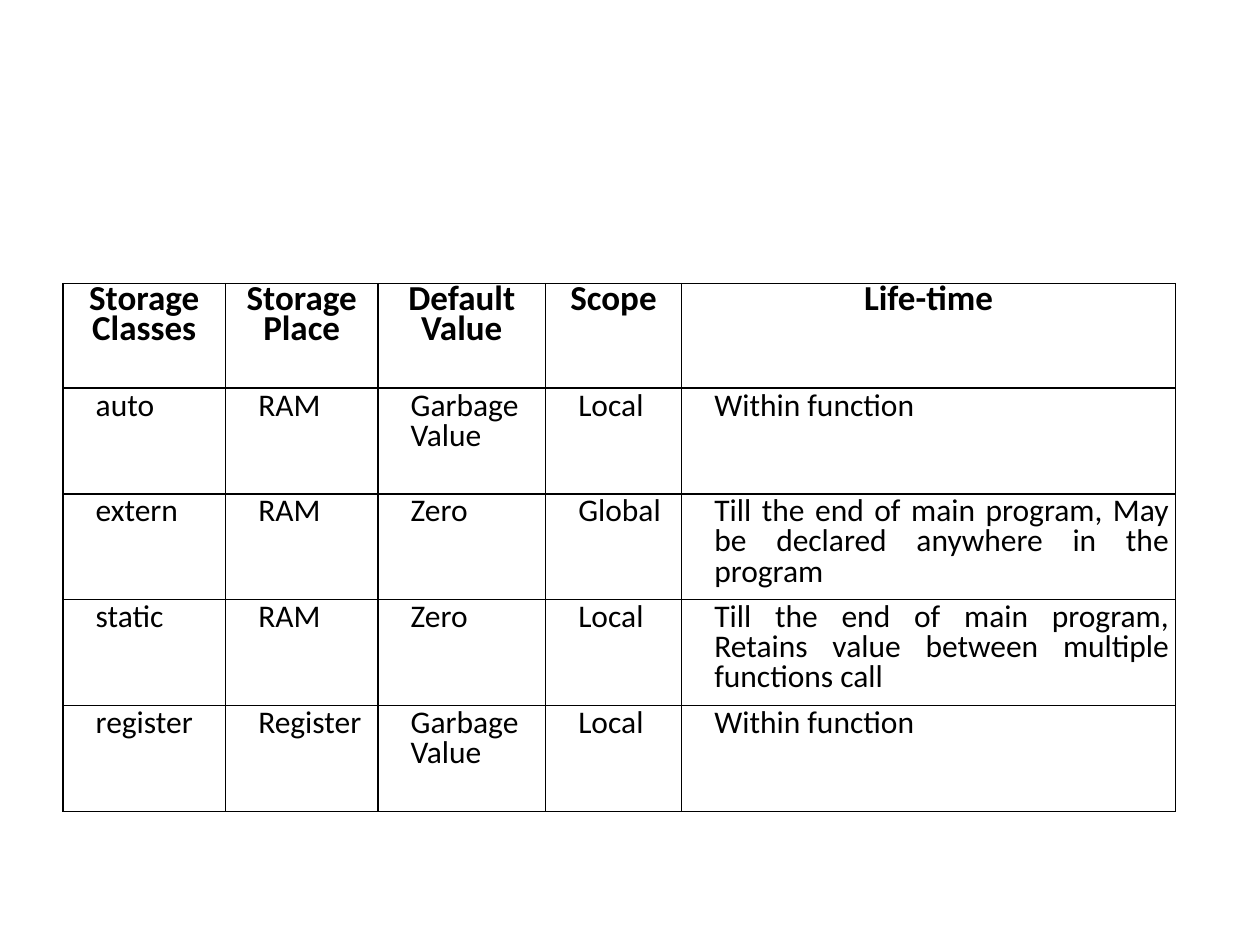
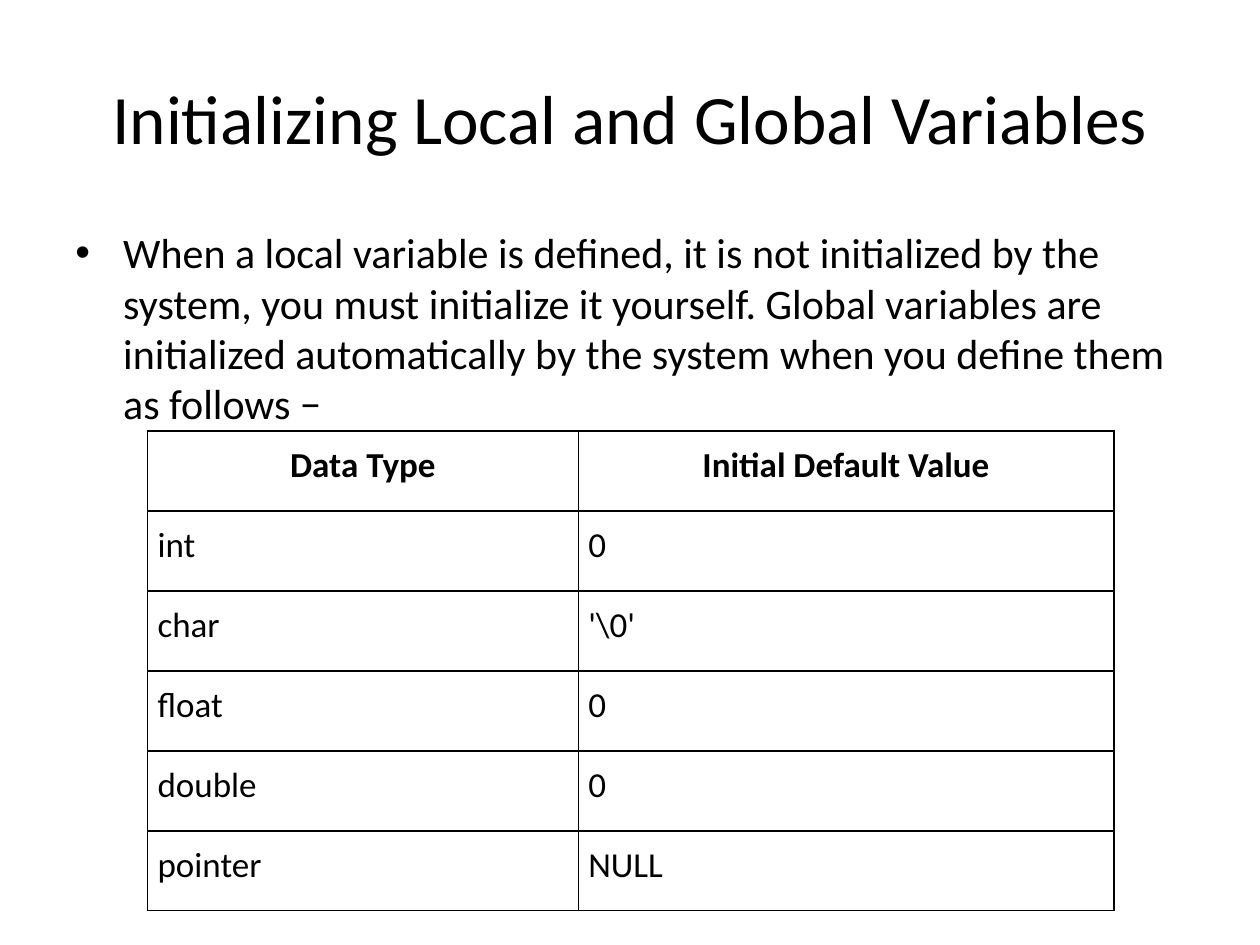
from lxml.etree import SubElement
from pptx import Presentation
from pptx.dml.color import RGBColor
from pptx.enum.text import MSO_ANCHOR, PP_ALIGN
from pptx.oxml.ns import qn
from pptx.util import Inches, Pt

COLORS = {"ink": "000000", "paper": "FFFFFF"}
FONT = "Calibri"


def style_font(paragraph, size, bold=False):
    paragraph.font.name = FONT
    paragraph.font.size = Pt(size)
    paragraph.font.bold = bold
    paragraph.font.color.rgb = RGBColor.from_string(COLORS["ink"])


def add_grid(slide, left, top, widths, heights, rows, inset):
    """Add a plain table with thin borders; return its paragraphs row by row."""
    table = slide.shapes.add_table(
        len(rows), len(widths), Inches(left), Inches(top),
        Inches(sum(widths)), Inches(sum(heights))).table
    table.first_row = table.horz_banding = False
    for column, width in zip(table.columns, widths):
        column.width = Inches(width)
    paragraphs = []
    for row, height, texts in zip(table.rows, heights, rows):
        row.height = Inches(height)
        for cell, text in zip(row.cells, texts):
            cell.text = text
            cell.margin_left = cell.margin_right = Inches(inset)
            cell.margin_top = cell.margin_bottom = Inches(inset)
            for side in ("lnL", "lnR", "lnT", "lnB"):
                border = SubElement(cell._tc.get_or_add_tcPr(), qn(f"a:{side}"), w=str(Pt(1)))
                border_fill = SubElement(border, qn("a:solidFill"))
                SubElement(border_fill, qn("a:srgbClr"), val=COLORS["ink"])
            cell.fill.background()
        paragraphs.append([cell.text_frame.paragraphs[0] for cell in row.cells])
    return paragraphs


prs = Presentation()
prs.slide_width, prs.slide_height = Inches(10), Inches(7.5)
background = prs.slide_master.background.fill
background.solid()
background.fore_color.rgb = RGBColor.from_string(COLORS["paper"])
title_only, blank = prs.slide_layouts[5], prs.slide_layouts[6]

# Slide 1: storage classes
storage_slide = prs.slides.add_slide(blank)
storage_classes = [
    ("Storage Classes", "Storage Place", "Default Value", "Scope", "Life-time"),
    ("auto", "RAM", "Garbage Value", "Local", "Within function"),
    ("extern", "RAM", "Zero", "Global",
     "Till the end of main program, May be declared anywhere in the program"),
    ("static", "RAM", "Zero", "Local",
     "Till the end of main program, Retains value between multiple functions call"),
    ("register", "Register", "Garbage Value", "Local", "Within function"),
]
storage_rows = add_grid(storage_slide, 0.5, 2.25, [1.29, 1.21, 1.33, 1.08, 3.92],
                        [0.83] + [0.84] * 4, storage_classes, 0.05)
for index, row in enumerate(storage_rows):
    is_header = index == 0
    for paragraph in row:
        paragraph.alignment = PP_ALIGN.CENTER if is_header else PP_ALIGN.JUSTIFY
        paragraph.line_spacing = Pt(17.2)
        if not is_header:
            paragraph._p.get_or_add_pPr().set("marL", str(Inches(0.21)))
        style_font(paragraph, 20 if is_header else 18, is_header)

# Slide 2: title
defaults_slide = prs.slides.add_slide(title_only)
title = defaults_slide.shapes.title
title.left, title.top, title.width, title.height = map(Inches, (0.5, 0.3, 9, 1.25))
title.text_frame.text = "Initializing Local and Global Variables"
title.text_frame.vertical_anchor = MSO_ANCHOR.MIDDLE
title.text_frame.paragraphs[0].alignment = PP_ALIGN.CENTER
style_font(title.text_frame.paragraphs[0], 39.6)

# Slide 2: bulleted explanation
explanation = defaults_slide.shapes.add_textbox(
    Inches(0.5), Inches(1.75), Inches(9), Inches(4.95)).text_frame
explanation.word_wrap = True
explanation.text = (
    "When a local variable is defined, it is not initialized by the system, "
    "you must initialize it yourself. Global variables are initialized "
    "automatically by the system when you define them as follows −")
bullet_line = explanation.paragraphs[0]
bullet_line.space_before = Pt(4.8)
bullet_props = bullet_line._p.get_or_add_pPr()
bullet_props.set("marL", str(Inches(0.38)))
bullet_props.set("indent", str(Inches(-0.38)))
SubElement(bullet_props, qn("a:buFont"), typeface="Arial")
SubElement(bullet_props, qn("a:buChar"), char="•")
style_font(bullet_line, 24)

# Slide 2: default values by data type
default_values = [
    ("Data Type", "Initial Default Value"),
    ("int", "0"),
    ("char", r"'\0'"),
    ("float", "0"),
    ("double", "0"),
    ("pointer", "NULL"),
]
default_rows = add_grid(defaults_slide, 1.17, 3.42, [3.42, 4.25],
                        [0.635] * 6, default_values, 0.08)
for index, row in enumerate(default_rows):
    is_header = index == 0
    for paragraph in row:
        paragraph.alignment = PP_ALIGN.CENTER if is_header else PP_ALIGN.LEFT
        paragraph.line_spacing = 1.07
        paragraph.space_after = Pt(8)
        style_font(paragraph, 20, is_header)

prs.save("out.pptx")
